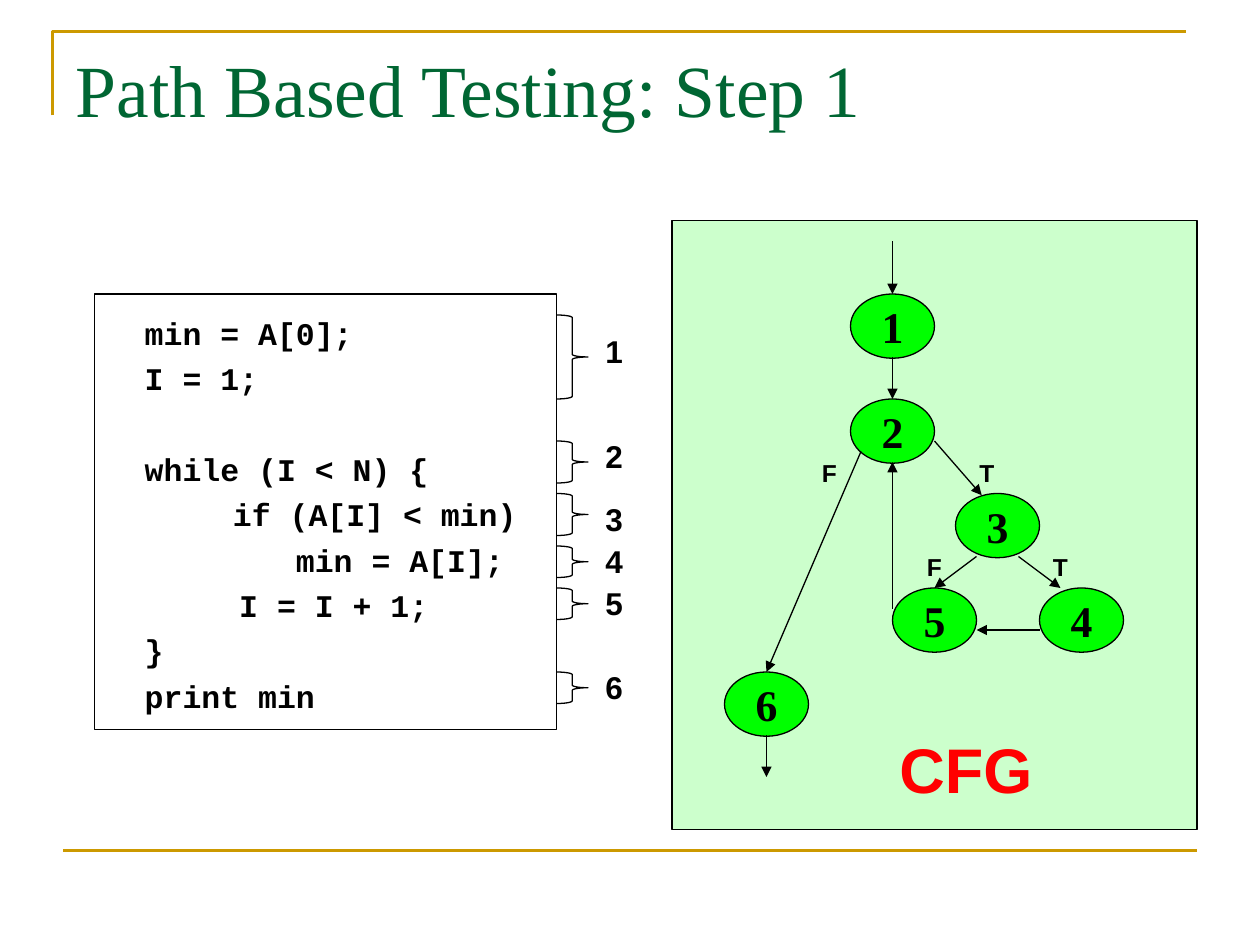
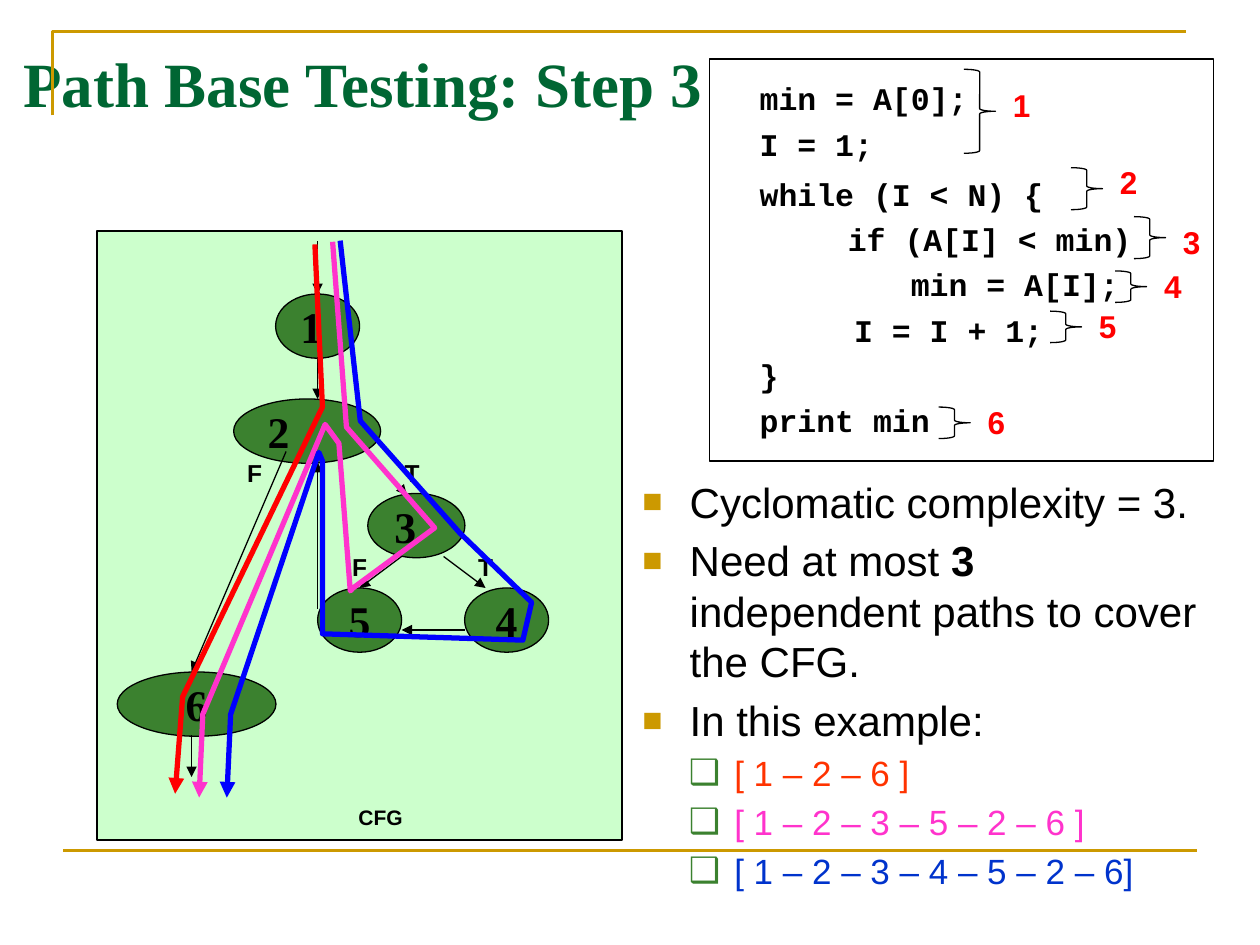
from lxml.etree import SubElement
from pptx import Presentation
from pptx.dml.color import RGBColor
from pptx.enum.shapes import MSO_CONNECTOR, MSO_SHAPE
from pptx.enum.text import MSO_ANCHOR, MSO_AUTO_SIZE, PP_ALIGN
from pptx.oxml.ns import qn
from pptx.util import Pt

BLACK, RED, GOLD = "000000", "FF0000", "CC9900"
TITLE_GREEN, PANEL_GREEN, BRIGHT_GREEN, DARK_GREEN = "006633", "CCFFCC", "00FF00", "3B812F"

FRAME_CORNER = [(30, 66), (30, 18), (678, 18)]
FRAME_BASE = [(36, 486), (684, 486)]

# Code lines: text and left indent
CODE = [
    ("min = A[0];", 21.6),
    ("I = 1;", 21.6),
    ("while (I < N) {", 21.6),
    ("if (A[I] < min)", 72),
    ("min = A[I];", 108),
    ("I = I + 1;", 75.6),
    ("}", 21.6),
    ("print min", 21.6),
]
LOOP_LINE = 2
BRACE_HEIGHTS = [48, 24, 24, 18, 18, 18]
NUMBER_DROPS = [6, -6, 0, -6, -6, -6]

# Control flow graph, relative to the graph's corner
NODE_WIDTH, NODE_HEIGHT = 48, 36.75
NODES = {1: (102, 42), 2: (102, 102), 3: (162, 156), 4: (210, 210), 5: (126, 210), 6: (30, 258)}
EDGES = [
    ((126, 12), (126, 42)),
    ((126, 78), (126, 102)),
    ((150, 126), (177, 157)),
    ((174, 192), (150, 210)),
    ((198, 192), (222, 210)),
    ((108, 132), (54, 258)),
    ((54, 294), (54, 318)),
    ((210, 234), (174, 234)),
    ((126, 222), (126, 138)),
]
BRANCHES = [("T", 162, 132), ("F", 72, 132), ("T", 204, 186), ("F", 132, 186)]

PATHS = {
    RED: [(124.5, 13.7), (128.8, 106.6), (48.9, 272.2), (44.6, 327.6)],
    "FF33CC": [(134.6, 12.2), (142.5, 118.1), (192.9, 175.7), (146.1, 210.2), (144.7, 211.7),
               (138.2, 127.4), (130.3, 116.6), (60.4, 282.2), (58.3, 329.8)],
    "0000FF": [(138.9, 11.5), (150.4, 114.5), (207.3, 178.6), (248.3, 218.2), (243.3, 239.8),
               (128.8, 236.2), (128.8, 137.5), (126.7, 132.5), (76.3, 282.2), (74.1, 329.8)],
}

# Findings: level, colour and runs (text, bold)
FINDINGS = [
    (0, BLACK, [("Cyclomatic complexity = 3.", False)]),
    (0, BLACK, [("Need at most ", False), ("3 ", True),
                ("independent paths to cover the CFG.", False)]),
    (0, BLACK, [("In this example:", False)]),
    (1, "FF3300", [("[ 1 – 2 – 6 ]", False)]),
    (1, "FF33CC", [("[ 1 – 2 – 3 – 5 – 2 – 6 ]", False)]),
    (1, "0033CC", [("[ 1 – 2 – 3 – 4 – 5 – 2 – 6]", False)]),
]
LEVELS = [
    {"size": 24, "before": 4.8, "left": 27, "hang": 27, "mark": "■", "mark_color": GOLD, "scale": 80},
    {"size": 20, "before": 4, "left": 52.5, "hang": 26, "mark": "❑", "mark_color": DARK_GREEN,
     "scale": 100},
]


def rgb(value):
    return RGBColor.from_string(value)


def set_format(target, values):
    for name, value in values.items():
        setattr(target, name, value)


def set_font(run, face, size, color=BLACK, bold=True):
    set_format(run.font, {"name": face, "size": Pt(size), "bold": bold})
    run.font.color.rgb = rgb(color)


def set_line(part, color=BLACK, width=0.75, arrow=False):
    part.line.color.rgb = rgb(color)
    part.line.width = Pt(width)
    if arrow:
        SubElement(part.line._get_or_add_ln(), qn("a:tailEnd"), type="triangle")


def add_outline(slide, kind, box, fill=None, width=0.75):
    """Add a preset shape with a thin black line, filled only if a colour is given."""
    shape = slide.shapes.add_shape(kind, *map(Pt, box))
    shape.shadow.inherit = False
    if fill:
        shape.fill.solid()
        shape.fill.fore_color.rgb = rgb(fill)
    else:
        shape.fill.background()
    set_line(shape, width=width)
    return shape


def add_straight(slide, start, end, color=BLACK, width=0.75, arrow=False):
    line = slide.shapes.add_connector(MSO_CONNECTOR.STRAIGHT, *map(Pt, start + end))
    set_line(line, color, width, arrow)
    SubElement(line._element.spPr, qn("a:effectLst"))


def add_polyline(slide, points, color, width, arrow=False):
    corners = [tuple(map(Pt, point)) for point in points]
    builder = slide.shapes.build_freeform(*corners[0])
    builder.add_line_segments(corners[1:], close=False)
    outline = builder.convert_to_shape()
    outline.shadow.inherit = False
    outline.fill.background()
    set_line(outline, color, width, arrow)


def add_label(slide, text, box, size, color=BLACK):
    frame = slide.shapes.add_textbox(*map(Pt, box)).text_frame
    frame.word_wrap = True
    paragraph = frame.paragraphs[0]
    paragraph.alignment = PP_ALIGN.CENTER
    run = paragraph.add_run()
    run.text = text
    set_font(run, "Arial", size, color)


def add_titled_slide(deck, text, left, size, bold):
    slide = deck.slides.add_slide(deck.slide_layouts[5])
    add_polyline(slide, FRAME_CORNER, GOLD, 1.5)
    add_straight(slide, *FRAME_BASE, GOLD, 1.5)
    title = slide.shapes.title
    set_format(title, {"left": Pt(left), "top": Pt(21.6), "width": Pt(648), "height": Pt(90)})
    title.text_frame.text = text
    set_format(title.text_frame, {"vertical_anchor": MSO_ANCHOR.TOP, "auto_size": MSO_AUTO_SIZE.NONE})
    paragraph = title.text_frame.paragraphs[0]
    paragraph.alignment = PP_ALIGN.LEFT
    set_font(paragraph.runs[0], "Times New Roman", size, TITLE_GREEN, bold)
    return slide


def add_code(slide, box, loop_gap, brace_spots, number_color):
    """Add the listing and its numbered braces; loop_gap is the space above the loop."""
    left, top = box[:2]
    frame = add_outline(slide, MSO_SHAPE.RECTANGLE, box).text_frame
    margins = dict.fromkeys(["margin_left", "margin_top", "margin_right", "margin_bottom"], Pt(7.2))
    set_format(frame, {"word_wrap": True, "vertical_anchor": MSO_ANCHOR.TOP, **margins})
    for index, (text, indent) in enumerate(CODE):
        paragraph = frame.add_paragraph() if index else frame.paragraphs[0]
        set_format(paragraph, {
            "alignment": PP_ALIGN.LEFT,
            "line_spacing": Pt(25.9),
            "space_before": Pt(loop_gap if index == LOOP_LINE else 0),
        })
        paragraph._p.get_or_add_pPr().set("marL", str(Pt(indent)))
        run = paragraph.add_run()
        run.text = text
        set_font(run, "Courier New", 18)

    braces = zip(brace_spots, BRACE_HEIGHTS, NUMBER_DROPS)
    for number, ((x, y), height, drop) in enumerate(braces, 1):
        add_outline(slide, MSO_SHAPE.RIGHT_BRACE, (left + x, top + y, 18, height))
        add_label(slide, str(number), (left + x + 18, top + y + drop, 30, 28.8), 18, number_color)


def add_graph(slide, left, top, panel_drop, node_fill, caption, spans={}, left_aligned=()):
    """Add the flow graph; spans maps a node to its own (x, width)."""
    add_outline(slide, MSO_SHAPE.RECTANGLE, (left, top + panel_drop, 300, 348), PANEL_GREEN, 1)
    for number, (x, y) in NODES.items():
        x, width = spans.get(number, (x, NODE_WIDTH))
        node = add_outline(slide, MSO_SHAPE.OVAL, (left + x, top + y, width, NODE_HEIGHT), node_fill)
        frame = node.text_frame
        frame.vertical_anchor = MSO_ANCHOR.MIDDLE
        paragraph = frame.paragraphs[0]
        paragraph.alignment = PP_ALIGN.LEFT if number in left_aligned else PP_ALIGN.CENTER
        run = paragraph.add_run()
        run.text = str(number)
        set_font(run, "Times New Roman", 25)
    for (x1, y1), (x2, y2) in EDGES:
        add_straight(slide, (left + x1, top + y1), (left + x2, top + y2), arrow=True)
    for text, x, y in BRANCHES:
        add_label(slide, text, (left + x, top + y, 36, 24), 14)
    x, y, width, height = caption["box"]
    add_label(slide, "CFG", (left + x, top + y, width, height), caption["size"], caption["color"])


def add_paths(slide, left, top):
    for color, points in PATHS.items():
        add_polyline(slide, [(left + x, top + y) for x, y in points], color, 3, arrow=True)


def add_findings(slide, box):
    frame = slide.shapes.add_textbox(*map(Pt, box)).text_frame
    frame.word_wrap = True
    for index, (level, color, runs) in enumerate(FINDINGS):
        style = LEVELS[level]
        paragraph = frame.add_paragraph() if index else frame.paragraphs[0]
        set_format(paragraph, {
            "level": level,
            "line_spacing": Pt(style["size"] * 1.2),
            "space_before": Pt(style["before"] if index else 0),
        })
        properties = paragraph._p.get_or_add_pPr()
        properties.set("marL", str(Pt(style["left"])))
        properties.set("indent", str(-Pt(style["hang"])))
        mark_color = SubElement(properties, qn("a:buClr"))
        SubElement(mark_color, qn("a:srgbClr"), val=style["mark_color"])
        SubElement(properties, qn("a:buSzPct"), val=str(style["scale"] * 1000))
        SubElement(properties, qn("a:buFont"), typeface="Arial")
        SubElement(properties, qn("a:buChar"), char=style["mark"])
        for text, bold in runs:
            run = paragraph.add_run()
            run.text = text
            set_font(run, "Arial", style["size"], color, bold)


def build_step_1(deck):
    slide = add_titled_slide(deck, "Path Based Testing: Step 1", 36, 42, False)
    caption = {"box": (114, 288, 108, 51), "size": 36, "color": RED}
    add_graph(slide, 384, 126, 0, BRIGHT_GREEN, caption)
    brace_spots = [(264, y) for y in (12, 84, 114, 144, 168, 216)]
    add_code(slide, (54, 168, 264, 249), 25.9, brace_spots, BLACK)


def build_step_3(deck):
    slide = add_titled_slide(deck, "Path Base Testing: Step 3", 6, 36, True)
    graph_corner = (55.5, 126)
    caption = {"box": (138, 330, 48, 21.6), "size": 12, "color": BLACK}
    spans = {2: (78, 84), 3: (154.7, 55.5), 6: (11.5, 90.7)}
    add_graph(slide, *graph_corner, 6, DARK_GREEN, caption, spans, left_aligned=(1, 2, 3))
    add_findings(slide, (360, 268.5, 342, 276))
    add_paths(slide, *graph_corner)
    brace_spots = [(145.4, 5.8), (206.6, 62), (242.6, 90), (231.8, 121), (194.6, 144), (131, 198.8)]
    add_code(slide, (405.4, 33.8, 288, 229.7), 2.7, brace_spots, RED)


def main():
    deck = Presentation()
    set_format(deck, {"slide_width": Pt(720), "slide_height": Pt(540)})
    build_step_1(deck)
    build_step_3(deck)
    deck.save("out.pptx")


if __name__ == "__main__":
    main()
